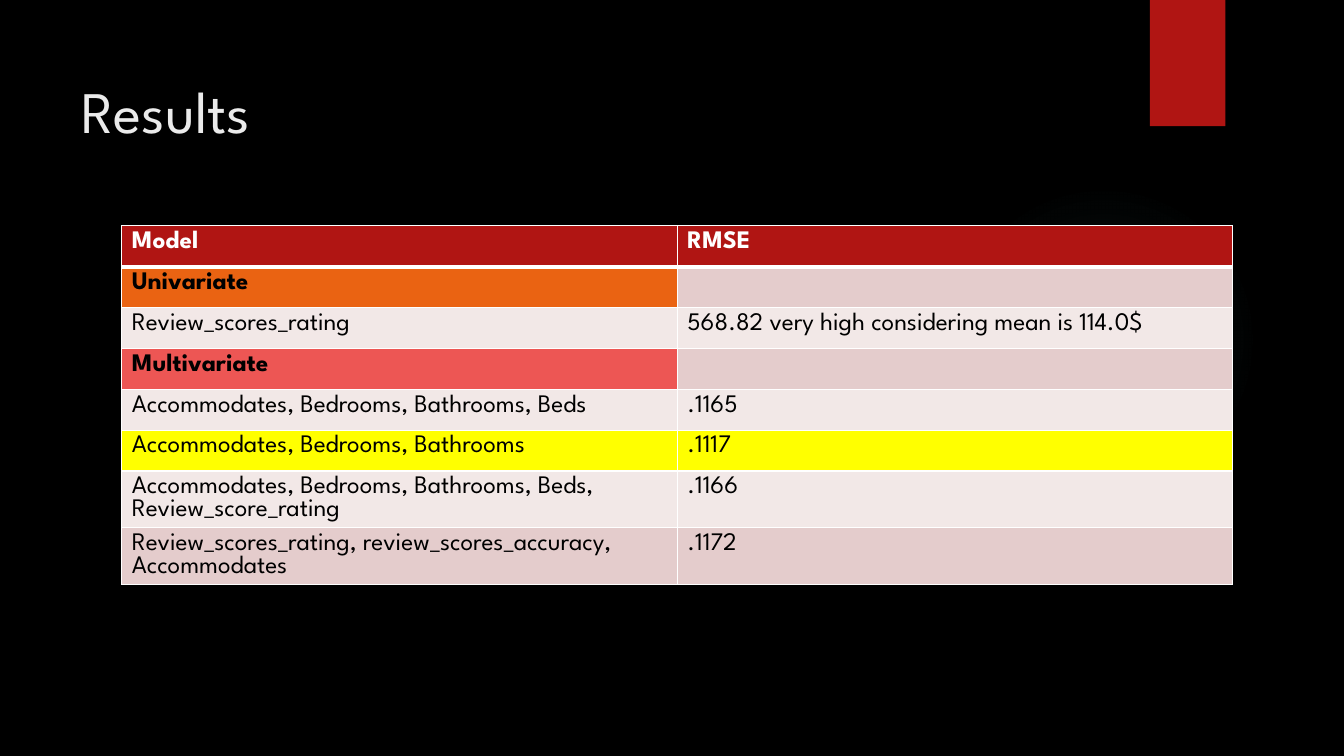
import lxml.etree
import pptx
import pptx.dml.color
import pptx.enum.shapes
import pptx.enum.text
import pptx.oxml
import pptx.oxml.ns
import pptx.util

Cm = pptx.util.Cm
FONT = "League Spartan"
RED = "B01513"
ORANGE = "EA6312"
CORAL = "ED5654"
YELLOW = "FFFF00"
BAND_DARK = "E4CCCC"
BAND_LIGHT = "F2E8E7"
WHITE = "FFFFFF"
BLACK = "000000"

RESULTS = [
    ("Model", "RMSE"),
    ("Univariate", ""),
    ("Review_scores_rating", "568.82 very high considering mean is 114.0$"),
    ("Multivariate", ""),
    ("Accommodates, Bedrooms, Bathrooms, Beds", ".1165"),
    ("Accommodates, Bedrooms, Bathrooms", ".1117"),
    ("Accommodates, Bedrooms, Bathrooms, Beds, Review_score_rating", ".1166"),
    ("Review_scores_rating, review_scores_accuracy, Accommodates", ".1172"),
]
HEADER_ROW = 0
BEST_ROW = 5
GROUP_FILLS = {"Univariate": ORANGE, "Multivariate": CORAL}


def color(value):
    return pptx.dml.color.RGBColor.from_string(value)


def paint(fill, value):
    fill.solid()
    fill.fore_color.rgb = color(value)


def add_run(paragraph, text, size, value, bold=False):
    run = paragraph.add_run()
    run.text = text
    run.font.name = FONT
    run.font.size = pptx.util.Pt(size)
    run.font.bold = bold
    run.font.color.rgb = color(value)


def add_plain_shape(slide, kind, left, top, width, height):
    shape = slide.shapes.add_shape(kind, left, top, width, height)
    shape.shadow.inherit = False
    shape.line.fill.background()
    return shape


def add_glow(slide, left, top, diameter):
    glow = add_plain_shape(slide, pptx.enum.shapes.MSO_SHAPE.OVAL, left, top, diameter, diameter)
    stops = "".join(
        f'<a:gs pos="{position * 1000}"><a:srgbClr val="50B9C1">'
        f'<a:alpha val="{opacity * 1000}"/></a:srgbClr></a:gs>'
        for position, opacity in ((0, 7), (36, 6), (69, 0))
    )
    gradient = pptx.oxml.parse_xml(
        f'<a:gradFill {pptx.oxml.ns.nsdecls("a")}><a:gsLst>{stops}</a:gsLst>'
        '<a:path path="circle"><a:fillToRect l="50000" t="50000" r="50000" b="50000"/>'
        "</a:path></a:gradFill>"
    )
    glow._element.spPr.find(pptx.oxml.ns.qn("a:prstGeom")).addnext(gradient)


def add_ribbon(slide, left, top, width, height):
    ribbon = add_plain_shape(
        slide, pptx.enum.shapes.MSO_SHAPE.RECTANGLE, left, top, width, height
    )
    paint(ribbon.fill, RED)


def place_title(slide, left, top, width, height):
    title = slide.shapes.title
    title.left, title.top, title.width, title.height = left, top, width, height
    frame = title.text_frame
    frame.word_wrap = True
    frame.auto_size = pptx.enum.text.MSO_AUTO_SIZE.NONE
    frame.vertical_anchor = pptx.enum.text.MSO_ANCHOR.TOP
    frame.margin_top = Cm(0.6)
    paragraph = frame.paragraphs[0]
    paragraph.alignment = pptx.enum.text.PP_ALIGN.LEFT
    add_run(paragraph, "Results", 42, "EBEBEB")
    slide.shapes._spTree.append(title._element)


def set_borders(cell, widths):
    properties = cell._tc.get_or_add_tcPr()
    for side, width in widths.items():
        line = lxml.etree.SubElement(properties, pptx.oxml.ns.qn(f"a:ln{side}"))
        line.set("w", str(pptx.util.Pt(width)))
        fill = lxml.etree.SubElement(line, pptx.oxml.ns.qn("a:solidFill"))
        lxml.etree.SubElement(fill, pptx.oxml.ns.qn("a:srgbClr")).set("val", WHITE)


def cell_fill(row, text):
    if row == HEADER_ROW:
        return RED
    if row == BEST_ROW:
        return YELLOW
    return GROUP_FILLS.get(text, BAND_DARK if row % 2 else BAND_LIGHT)


def add_results_table(slide, left, top, width, height):
    table = slide.shapes.add_table(len(RESULTS), 2, left, top, width, height).table
    for row, texts in enumerate(RESULTS):
        for column, text in enumerate(texts):
            cell = table.cell(row, column)
            header = row == HEADER_ROW
            top_width = 3 if row == HEADER_ROW + 1 else 1
            set_borders(cell, {"L": 1, "R": 1, "T": top_width, "B": 3 if header else 1})
            paint(cell.fill, cell_fill(row, text))
            if text:
                add_run(
                    cell.text_frame.paragraphs[0],
                    text,
                    18,
                    WHITE if header else BLACK,
                    header or text in GROUP_FILLS,
                )


def build_results_slide(presentation):
    slide = presentation.slides.add_slide(presentation.slide_layouts[5])
    paint(slide.background.fill, BLACK)
    add_glow(slide, Cm(23.9), Cm(4.65), Cm(7.82))
    add_ribbon(slide, Cm(28.98), 0, Cm(1.9), Cm(3.18))
    place_title(slide, Cm(1.8), Cm(1.27), Cm(26.14), Cm(3.89))
    add_results_table(slide, Cm(3.07), Cm(5.69), Cm(28), Cm(8.24))


def main():
    presentation = pptx.Presentation()
    presentation.slide_width = Cm(33.87)
    presentation.slide_height = Cm(19.05)
    build_results_slide(presentation)
    presentation.save("out.pptx")


if __name__ == "__main__":
    main()
